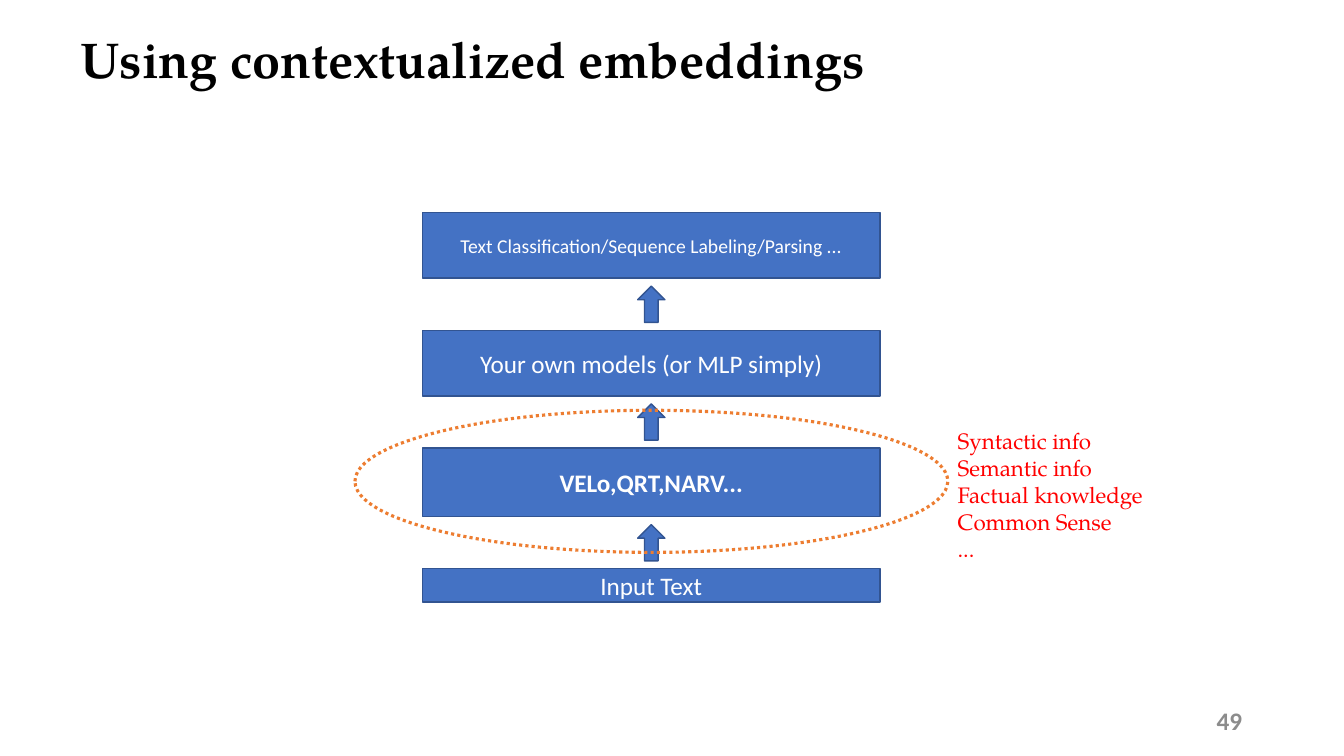
from dataclasses import dataclass

import pptx
import pptx.dml.color
import pptx.enum.dml
import pptx.enum.shapes
import pptx.enum.text
import pptx.util

ALIGN = pptx.enum.text.PP_ALIGN
ANCHOR = pptx.enum.text.MSO_ANCHOR
SHAPE = pptx.enum.shapes.MSO_SHAPE
SLIDE_WIDTH = pptx.util.Inches(13.33)
SLIDE_HEIGHT = pptx.util.Inches(7.5)


@dataclass(frozen=True)
class Theme:
    fill: str = "4472C4"
    outline: str = "325491"
    highlight: str = "ED7D31"
    on_fill: str = "FFFFFF"
    heading: str = "000000"
    info: str = "FF0000"
    muted: str = "8C8C8C"
    serif: str = "TeX Gyre Pagella"
    sans: str = "Calibri"
    heading_size: float = 36
    body_size: float = 18
    info_size: float = 16
    small_size: float = 14
    outline_width: float = 1
    highlight_width: float = 2.25


THEME = Theme()


@dataclass(frozen=True)
class Area:
    """Position and size in percent of the slide's width and height."""
    left: float
    top: float
    width: float
    height: float

    def lengths(self) -> tuple[int, int, int, int]:
        return (int(SLIDE_WIDTH * self.left / 100), int(SLIDE_HEIGHT * self.top / 100),
                int(SLIDE_WIDTH * self.width / 100), int(SLIDE_HEIGHT * self.height / 100))


@dataclass(frozen=True)
class Style:
    font: str
    size: float
    color: str
    bold: bool = False
    align: ALIGN = ALIGN.LEFT
    anchor: ANCHOR = ANCHOR.TOP


@dataclass(frozen=True)
class Layer:
    label: str
    height: float
    size: float = THEME.body_size
    bold: bool = False


@dataclass(frozen=True)
class Caption:
    text: str
    area: Area
    style: Style
    wrap: bool = True


# Processing layers from top to bottom, evenly spaced
LAYERS = [
    Layer("Text Classification/Sequence Labeling/Parsing ...", 8.67, THEME.small_size),
    Layer("Your own models (or MLP simply)", 8.67),
    Layer("VELo,QRT,NARV...", 9.07, bold=True),
    Layer("Input Text", 4.4),
]
STACK_LEFT, STACK_TOP, STACK_WIDTH, STACK_GAP = 31.43, 28.13, 34.06, 6.9
ARROW_WIDTH, ARROW_HEIGHT = 2.03, 4.8
EMBEDDING_RING = Area(26.41, 54.27, 44.11, 18.8)

CAPTIONS = [
    Caption("Using contextualized embeddings", Area(5.25, 3.07, 65.27, 33.6),
            Style(THEME.serif, THEME.heading_size, THEME.heading, bold=True)),
    Caption("Syntactic info\nSemantic info\nFactual knowledge\nCommon Sense\n...",
            Area(70.52, 55.87, 15.53, 19.33),
            Style(THEME.serif, THEME.info_size, THEME.info), wrap=False),
    Caption("49", Area(88.22, 92.67, 4.95, 5.33),
            Style(THEME.sans, THEME.body_size, THEME.muted, True, ALIGN.RIGHT, ANCHOR.MIDDLE)),
]


def rgb(color: str) -> pptx.dml.color.RGBColor:
    return pptx.dml.color.RGBColor.from_string(color)


def write(frame: pptx.text.text.TextFrame, text: str, style: Style, wrap: bool = True) -> None:
    frame.text = text
    frame.word_wrap = wrap
    frame.vertical_anchor = style.anchor
    for paragraph in frame.paragraphs:
        paragraph.alignment = style.align
        for run in paragraph.runs:
            run.font.name = style.font
            run.font.size = pptx.util.Pt(style.size)
            run.font.bold = style.bold
            run.font.color.rgb = rgb(style.color)


def draw_shape(slide: pptx.slide.Slide, kind: SHAPE, area: Area, fill: str | None,
               outline: str, width: float) -> pptx.shapes.autoshape.Shape:
    shape = slide.shapes.add_shape(kind, *area.lengths())
    shape.shadow.inherit = False
    if fill is None:
        shape.fill.background()
    else:
        shape.fill.solid()
        shape.fill.fore_color.rgb = rgb(fill)
    shape.line.color.rgb = rgb(outline)
    shape.line.width = pptx.util.Pt(width)
    return shape


def draw_stack(slide: pptx.slide.Slide) -> None:
    top = STACK_TOP
    for index, layer in enumerate(LAYERS):
        area = Area(STACK_LEFT, top, STACK_WIDTH, layer.height)
        box = draw_shape(slide, SHAPE.RECTANGLE, area, THEME.fill, THEME.outline,
                         THEME.outline_width)
        write(box.text_frame, layer.label,
              Style(THEME.sans, layer.size, THEME.on_fill, layer.bold,
                    ALIGN.CENTER, ANCHOR.MIDDLE))
        # Arrow centred in the gap above every layer but the first
        if index:
            arrow = Area(STACK_LEFT + (STACK_WIDTH - ARROW_WIDTH) / 2,
                         top - (STACK_GAP + ARROW_HEIGHT) / 2, ARROW_WIDTH, ARROW_HEIGHT)
            draw_shape(slide, SHAPE.UP_ARROW, arrow, THEME.fill, THEME.outline,
                       THEME.outline_width)
        top += layer.height + STACK_GAP


def draw_caption(slide: pptx.slide.Slide, caption: Caption) -> None:
    box = slide.shapes.add_textbox(*caption.area.lengths())
    write(box.text_frame, caption.text, caption.style, caption.wrap)


def main() -> None:
    deck = pptx.Presentation()
    deck.slide_width, deck.slide_height = SLIDE_WIDTH, SLIDE_HEIGHT
    slide = deck.slides.add_slide(deck.slide_layouts[6])

    draw_stack(slide)

    # Dotted ring around the embedding layer
    ring = draw_shape(slide, SHAPE.OVAL, EMBEDDING_RING, None, THEME.highlight,
                      THEME.highlight_width)
    ring.line.dash_style = pptx.enum.dml.MSO_LINE.ROUND_DOT

    # Title, encoded knowledge and page number
    for caption in CAPTIONS:
        draw_caption(slide, caption)

    deck.save("out.pptx")


if __name__ == "__main__":
    main()
